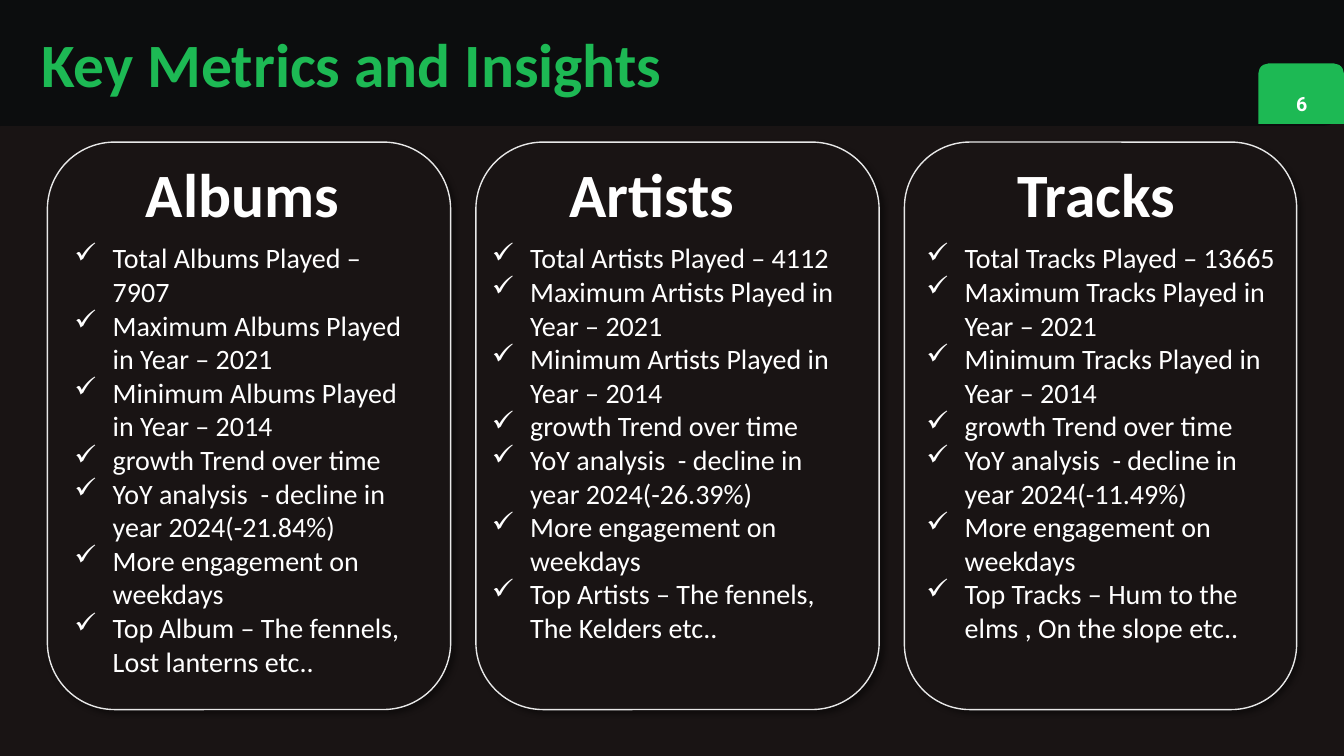
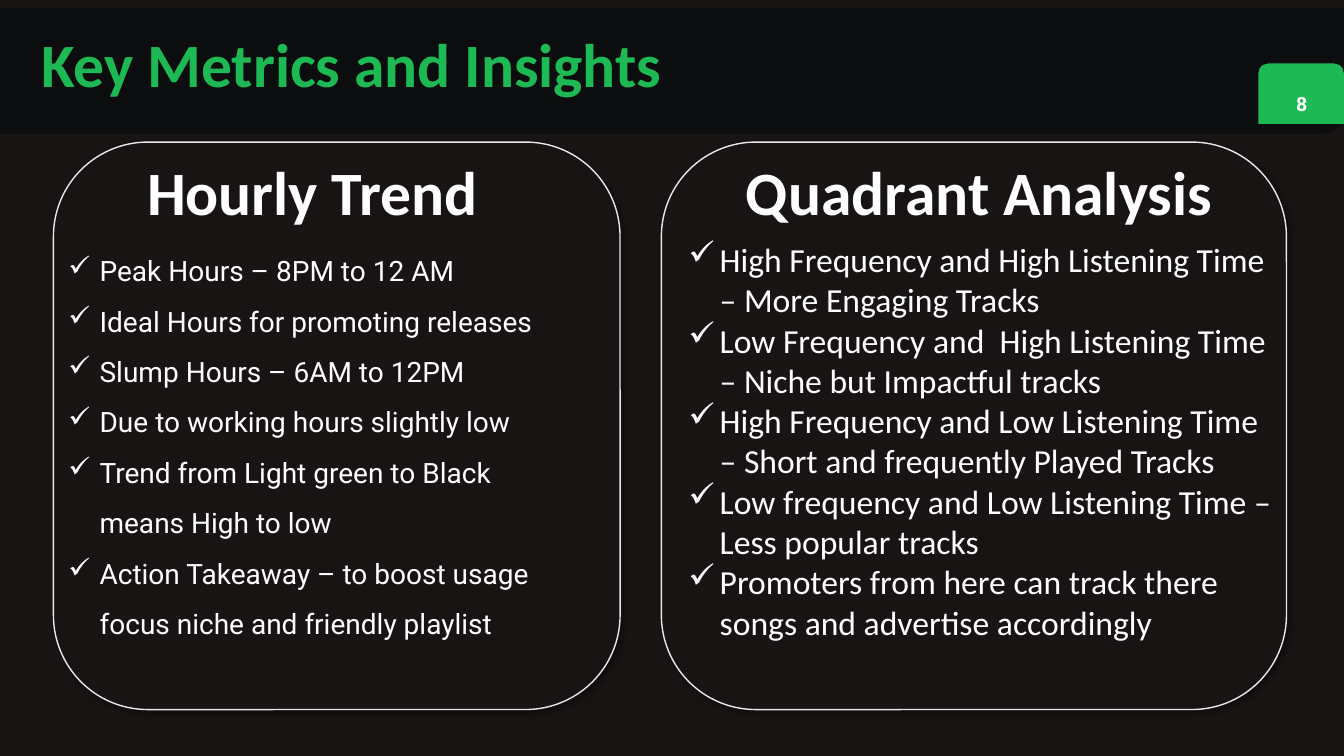
from lxml import etree
from pptx import Presentation
from pptx import util as u
from pptx.dml.color import RGBColor
from pptx.enum import shapes, text
from pptx.oxml import ns

WIDE, HIGH = 13.33, 7.5
BACK = RGBColor(0x19, 0x14, 0x14)
BAND = RGBColor(0x0C, 0x0D, 0x0E)
GREEN = RGBColor(0x1D, 0xB9, 0x54)
EDGE = RGBColor(0xE8, 0xE8, 0xE8)
WHITE = RGBColor(0xFF, 0xFF, 0xFF)

KIND = shapes.MSO_SHAPE
TITLE = "Key Metrics and Insights"
CARD_TOP, CARD_HIGH = 1.41, 5.63
BAND_HIGH, HEAD_HIGH = 1.25, 0.84
HEAD = dict(name="Calibri", size=u.Pt(44), bold=True)
PAGE = dict(name="Roboto", size=u.Pt(14), bold=True)
LIST = dict(name="Calibri", size=u.Pt(20))
TREND = dict(name="Roboto", size=u.Pt(20))
QUAD = dict(name="Calibri", size=u.Pt(24))


def facts(name, total, drop, top):
    return [
        f"Total {name} Played – {total}",
        f"Maximum {name} Played in Year – 2021",
        f"Minimum {name} Played in Year – 2014",
        "growth Trend over time",
        f"YoY analysis  - decline in year 2024({drop}%)",
        "More engagement on weekdays",
        top,
    ]


hours = [
    "Peak Hours – 8PM to 12 AM",
    "Ideal Hours for promoting releases",
    "Slump Hours – 6AM to 12PM",
    "Due to working hours slightly low",
    "Trend from Light green to Black means High to low",
    "Action Takeaway – to boost usage focus niche and friendly playlist",
]
quads = [
    "High Frequency and High Listening Time – More Engaging Tracks",
    "Low Frequency and  High Listening Time – Niche but Impactful tracks",
    "High Frequency and Low Listening Time – Short and frequently Played Tracks",
    "Low frequency and Low Listening Time – Less popular tracks",
    "Promoters from here can track there songs and advertise accordingly",
]

DECK = [
    dict(page="6", band=0, head_top=1.5, cards=[
        dict(head="Albums", card=(0.47, 4), name=(1.35, 2.14),
             body=(0.64, 2.34, 3.66, 4.48), font=LIST, dent=0.38, gap=1,
             items=facts("Albums", 7907, "-21.84",
                         "Top Album – The fennels, Lost lanterns etc..")),
        dict(head="Artists", card=(4.72, 4), name=(5.55, 1.86),
             body=(4.78, 2.34, 3.66, 4.48), font=LIST, dent=0.38, gap=1,
             items=facts("Artists", 4112, "-26.39",
                         "Top Artists – The fennels, The Kelders etc..")),
        dict(head="Tracks", card=(8.97, 3.89), name=(9.99, 1.78),
             body=(9.09, 2.34, 3.66, 4.48), font=LIST, dent=0.38, gap=1,
             items=facts("Tracks", 13665, "-11.49",
                         "Top Tracks – Hum to the elms , On the slope etc..")),
    ]),
    dict(page="8", band=0.08, head_top=1.48, cards=[
        dict(head="Hourly Trend", card=(0.53, 5.62), name=(1.36, 3.52),
             body=(0.58, 2.3, 5.06, 4.08), font=TREND, dent=0.31, gap=1.5,
             items=hours),
        dict(head="Quadrant Analysis", card=(6.56, 6.2), name=(7.3, 4.87),
             body=(6.73, 2.32, 6.02, 4.54), font=QUAD, dent=0.31, gap=1,
             items=quads),
    ]),
]


def inch(*sizes):
    return [u.Inches(size) for size in sizes]


def style(font, form, color):
    for key, val in form.items():
        setattr(font, key, val)
    font.color.rgb = color


def block(slide, kind, box, fill):
    shape = slide.shapes.add_shape(kind, *inch(*box))
    shape.shadow.inherit = False
    shape.fill.solid()
    shape.fill.fore_color.rgb = fill
    shape.line.fill.background()
    return shape


def shade(shape):
    effects = shape.element.spPr.find(ns.qn("a:effectLst"))
    drop = etree.SubElement(
        effects, ns.qn("a:outerShdw"), blurRad=str(u.Pt(4)),
        dist=str(u.Pt(3)), dir=str(45 * 60000), algn="tl", rotWithShape="0")
    color = etree.SubElement(drop, ns.qn("a:srgbClr"), val="000000")
    etree.SubElement(color, ns.qn("a:alpha"), val="40000")


def write(shape, words, form, color, wrap=False):
    frame = shape.text_frame
    frame.word_wrap = wrap
    frame.vertical_anchor = text.MSO_ANCHOR.TOP
    frame.auto_size = text.MSO_AUTO_SIZE.SHAPE_TO_FIT_TEXT
    frame.text = words
    para = frame.paragraphs[0]
    para.alignment = text.PP_ALIGN.LEFT
    style(para.runs[0].font, form, color)
    return frame


def bullets(slide, card):
    frame = slide.shapes.add_textbox(*inch(*card["body"])).text_frame
    frame.word_wrap = True
    frame.auto_size = text.MSO_AUTO_SIZE.SHAPE_TO_FIT_TEXT
    frame.text = "\n".join(card["items"])
    dent = u.Inches(card["dent"])
    for para in frame.paragraphs:
        para.line_spacing = card["gap"]
        props = para._p.get_or_add_pPr()
        props.set("marL", str(dent))
        props.set("indent", str(-dent))
        etree.SubElement(props, ns.qn("a:buChar"), char="✓")
        style(para.runs[0].font, card["font"], WHITE)


def header(slide, top):
    left = (WIDE - BAND_HIGH) / 2
    band = block(slide, KIND.ROUND_1_RECTANGLE,
                 (left, top - left, BAND_HIGH, WIDE), BAND)
    band.rotation = 90
    title = slide.shapes.title
    band.element.addnext(title.element)
    spots = inch(0.31, 0.21, 6.42, HEAD_HIGH)
    for key, val in zip(("left", "top", "width", "height"), spots):
        setattr(title, key, val)
    write(title, TITLE, HEAD, GREEN)


def panel(slide, card, top):
    left, width = card["card"]
    shape = block(slide, KIND.ROUNDED_RECTANGLE,
                  (left, CARD_TOP, width, CARD_HIGH), BACK)
    shape.line.color.rgb = EDGE
    shape.line.width = u.Pt(1)
    shade(shape)
    bullets(slide, card)
    left, width = card["name"]
    name = slide.shapes.add_textbox(*inch(left, top, width, HEAD_HIGH))
    write(name, card["head"], HEAD, WHITE)


def footer(slide, page):
    block(slide, KIND.ROUND_2_SAME_RECTANGLE, (12.48, 0.63, 0.85, 0.6), GREEN)
    label = slide.shapes.add_textbox(*inch(12.59, 0.83, 0.64, 0.4))
    frame = write(label, page, PAGE, WHITE, True)
    frame.auto_size = text.MSO_AUTO_SIZE.NONE
    frame.vertical_anchor = text.MSO_ANCHOR.MIDDLE
    frame.paragraphs[0].alignment = text.PP_ALIGN.CENTER


def main():
    deck = Presentation()
    deck.slide_width, deck.slide_height = inch(WIDE, HIGH)
    back = deck.slide_master.background.fill
    back.solid()
    back.fore_color.rgb = BACK
    for data in DECK:
        slide = deck.slides.add_slide(deck.slide_layouts[5])
        header(slide, data["band"])
        for card in data["cards"]:
            panel(slide, card, data["head_top"])
        footer(slide, data["page"])
    deck.save("out.pptx")


if __name__ == "__main__":
    main()
